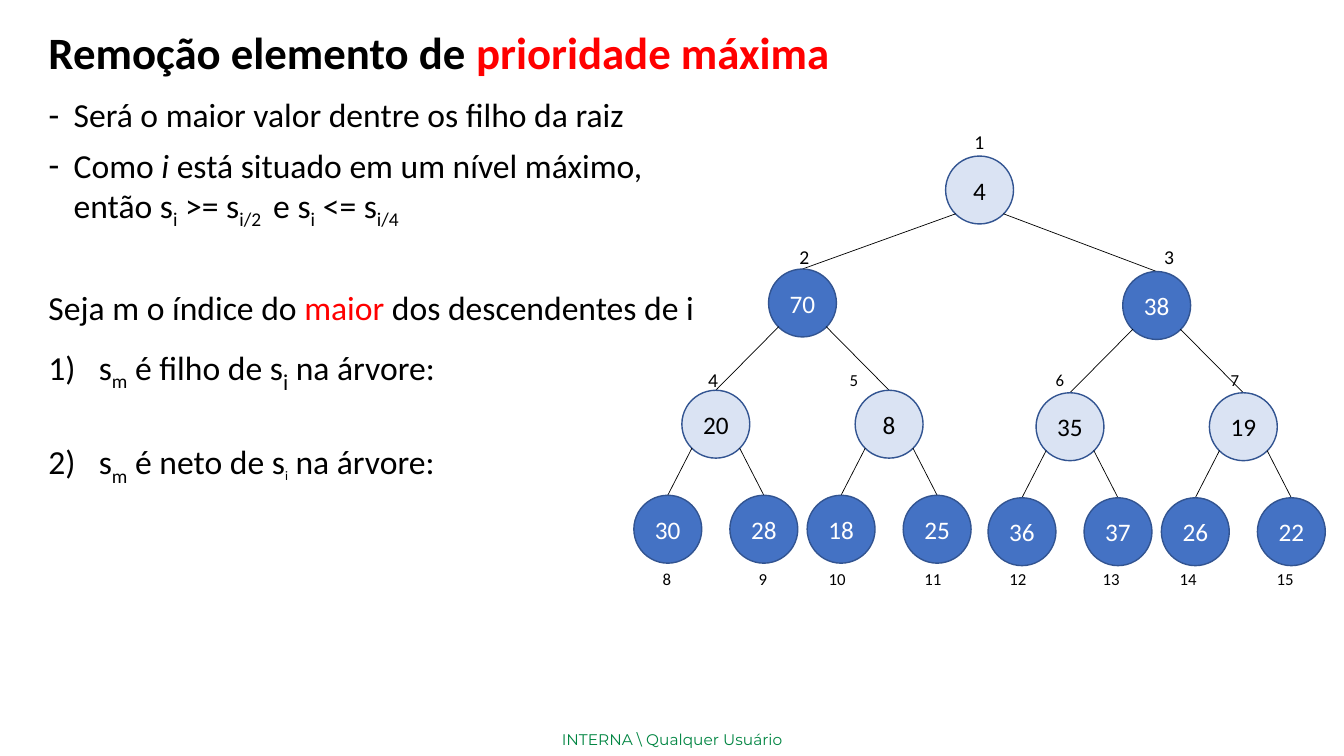
"""Builds the slide on removing the highest-priority element from a heap."""
from lxml import etree
from pptx import Presentation
from pptx.dml.color import RGBColor
from pptx.enum import shapes, text
from pptx.oxml import ns
from pptx.util import Pt

BLACK = RGBColor(0x00, 0x00, 0x00)
WHITE = RGBColor(0xFF, 0xFF, 0xFF)
RED = RGBColor(0xFF, 0x00, 0x00)
GREEN = RGBColor(0x00, 0x85, 0x42)
MAX_FILL = RGBColor(0x44, 0x72, 0xC4)
MIN_FILL = RGBColor(0xDA, 0xE3, 0xF3)
NODE_LINE = RGBColor(0x32, 0x54, 0x91)

HEAP = [4, 70, 38, 20, 8, 35, 19, 30, 28, 18, 25, 36, 37, 26, 22]
INDEX_X = [699.5, 574.5, 835, 509.3, 610, 757, 882, 476.4,
           545, 598, 666.4, 727, 793.6, 848.6, 918]
INDEX_Y = [101.4, 183, 271, 413.6]
ROOT = (699.7, 135.7)
SPREAD = [0, 126.5, 61.9, 34.3]
DROP = [0, 80.7, 86.6, 75]
RIGHT_SHIFT = 1.8
DIAMETER = 48.5

SUB = {"baseline": -25}
TITLE = [("Remoção elemento de ", {}), ("prioridade máxima", {"color": RED})]
DASH = ("buChar", {"char": "-"}, 18)
NUMBER = ("buAutoNum", {"type": "arabicParenR"}, 36)
PLAIN = ("buNone", {}, 0)
BODY = [
    (DASH, 10, [("Será o maior valor dentre os filho da raiz", {})]),
    (DASH, 10, [("Como", {}), (" i", {"italic": True}),
                (" está situado em um nível máximo, então s", {}), ("i", SUB),
                (" >= s", {}), ("i/2 ", SUB), (" e s", {}), ("i", SUB),
                (" <= s", {}), ("i/4", SUB)]),
    (PLAIN, 46.4, [("Seja m o índice do ", {}), ("maior", {"color": RED}),
                   (" dos descendentes de i", {})]),
    (NUMBER, 10, [("s", {}), ("m", SUB), (" é filho de s", {}),
                  ("i", {"size": 28, **SUB}), (" na árvore:", {})]),
    (NUMBER, 37, [("s", {}), ("m", SUB), (" é neto de s", {}),
                  ("i", {"size": 16, **SUB}), (" na árvore:", {})]),
]


def set_all(target, values):
    """Set every attribute named in values on target."""
    for name, value in values.items():
        setattr(target, name, value)


def add_runs(paragraph, runs, size, **common):
    """Add formatted runs that share a base size and common format."""
    for words, changes in runs:
        look = {"size": size, "color": BLACK, "name": "Calibri", **common, **changes}
        run = paragraph.add_run()
        run.text = words
        baseline = look.pop("baseline", 0)
        run.font.color.rgb = look.pop("color")
        look["size"] = Pt(look["size"])
        set_all(run.font, look)
        if baseline:
            run.font._element.set("baseline", str(baseline * 1000))


def set_bullet(paragraph, bullet):
    """Give a paragraph its bullet and hanging indent."""
    tag, attributes, indent = bullet
    properties = paragraph._p.get_or_add_pPr()
    properties.set("marL", str(Pt(indent)))
    properties.set("indent", str(Pt(-indent)))
    etree.SubElement(properties, ns.qn("a:" + tag), attributes)


def place(holder, left, top, width, height):
    """Move a placeholder and anchor its text at the top."""
    set_all(holder, {"left": Pt(left), "top": Pt(top),
                     "width": Pt(width), "height": Pt(height)})
    set_all(holder.text_frame, {"vertical_anchor": text.MSO_ANCHOR.TOP,
                                "auto_size": text.MSO_AUTO_SIZE.NONE,
                                "word_wrap": True})
    return holder.text_frame


def fill_title(slide):
    """Write the heading in the title placeholder."""
    heading = place(slide.shapes.title, 27.4, 18.7, 905, 63.4).paragraphs[0]
    set_all(heading, {"alignment": text.PP_ALIGN.LEFT, "line_spacing": 0.9,
                      "space_before": Pt(10)})
    add_runs(heading, TITLE, 32, bold=True)


def fill_body(slide):
    """Write the explanation in the body placeholder."""
    frame = place(slide.placeholders[1], 27.4, 67, 488.2, 467.3)
    for number, (bullet, before, runs) in enumerate(BODY):
        item = frame.add_paragraph() if number else frame.paragraphs[0]
        set_all(item, {"line_spacing": 0.9, "space_before": Pt(before)})
        set_bullet(item, bullet)
        add_runs(item, runs, 24)


def centre_text(shape, words, size, **look):
    """Put one centred line in a shape without margins."""
    frame = shape.text_frame
    set_all(frame, {"margin_left": 0, "margin_right": 0, "margin_top": 0,
                    "margin_bottom": 0, "word_wrap": True,
                    "vertical_anchor": text.MSO_ANCHOR.MIDDLE})
    frame.paragraphs[0].alignment = text.PP_ALIGN.CENTER
    add_runs(frame.paragraphs[0], [(words, {})], size, **look)


def add_label(slide, x, y, width, words, size, **look):
    """Add a text box centred on a point."""
    label = slide.shapes.add_textbox(Pt(x - width / 2), Pt(y - 12), Pt(width), Pt(24))
    centre_text(label, words, size, **look)


def add_node(slide, x, y, value, is_max):
    """Add a heap node coloured by its level kind."""
    node = slide.shapes.add_shape(
        shapes.MSO_SHAPE.OVAL, Pt(x - DIAMETER / 2), Pt(y - DIAMETER / 2),
        Pt(DIAMETER), Pt(DIAMETER))
    node.shadow.inherit = False
    node.fill.solid()
    node.fill.fore_color.rgb = MAX_FILL if is_max else MIN_FILL
    node.line.color.rgb = NODE_LINE
    node.line.width = Pt(1)
    centre_text(node, str(value), 18, color=WHITE if is_max else BLACK)


def add_edge(slide, parent, child, side):
    """Join a parent's lower corner to the top of its child."""
    corner = DIAMETER / 2 * 0.7
    edge = slide.shapes.add_connector(
        shapes.MSO_CONNECTOR.STRAIGHT,
        Pt(parent[0] + side * corner), Pt(parent[1] + corner),
        Pt(child[0]), Pt(child[1] - DIAMETER / 2))
    edge.line.color.rgb = BLACK
    edge.line.width = Pt(0.5)
    etree.SubElement(edge._element.spPr, ns.qn("a:effectLst"))


def add_heap(slide):
    """Draw the min-max heap with its indices."""
    centres = {1: ROOT}
    for index, value in enumerate(HEAP, 1):
        level = index.bit_length() - 1
        if level:
            parent = centres[index // 2]
            side = 1 if index % 2 else -1
            shift = RIGHT_SHIFT if index == 3 else 0
            centres[index] = (parent[0] + side * SPREAD[level],
                              parent[1] + DROP[level] + shift)
            add_edge(slide, parent, centres[index], side)
        add_node(slide, *centres[index], value, level % 2 == 1)
    for index, x in enumerate(INDEX_X, 1):
        add_label(slide, x, INDEX_Y[index.bit_length() - 1], 24, str(index),
                  14 if index <= 4 else 12)


def main():
    """Build and save the presentation."""
    deck = Presentation()
    set_all(deck, {"slide_width": Pt(960), "slide_height": Pt(540)})
    slide = deck.slides.add_slide(deck.slide_layouts[1])
    add_label(slide, 480.2, 528.1, 197.3, "INTERNA \\ Qualquer Usuário", 11,
              name="Montserrat", color=GREEN)
    fill_title(slide)
    fill_body(slide)
    add_heap(slide)
    deck.save("out.pptx")


main()
